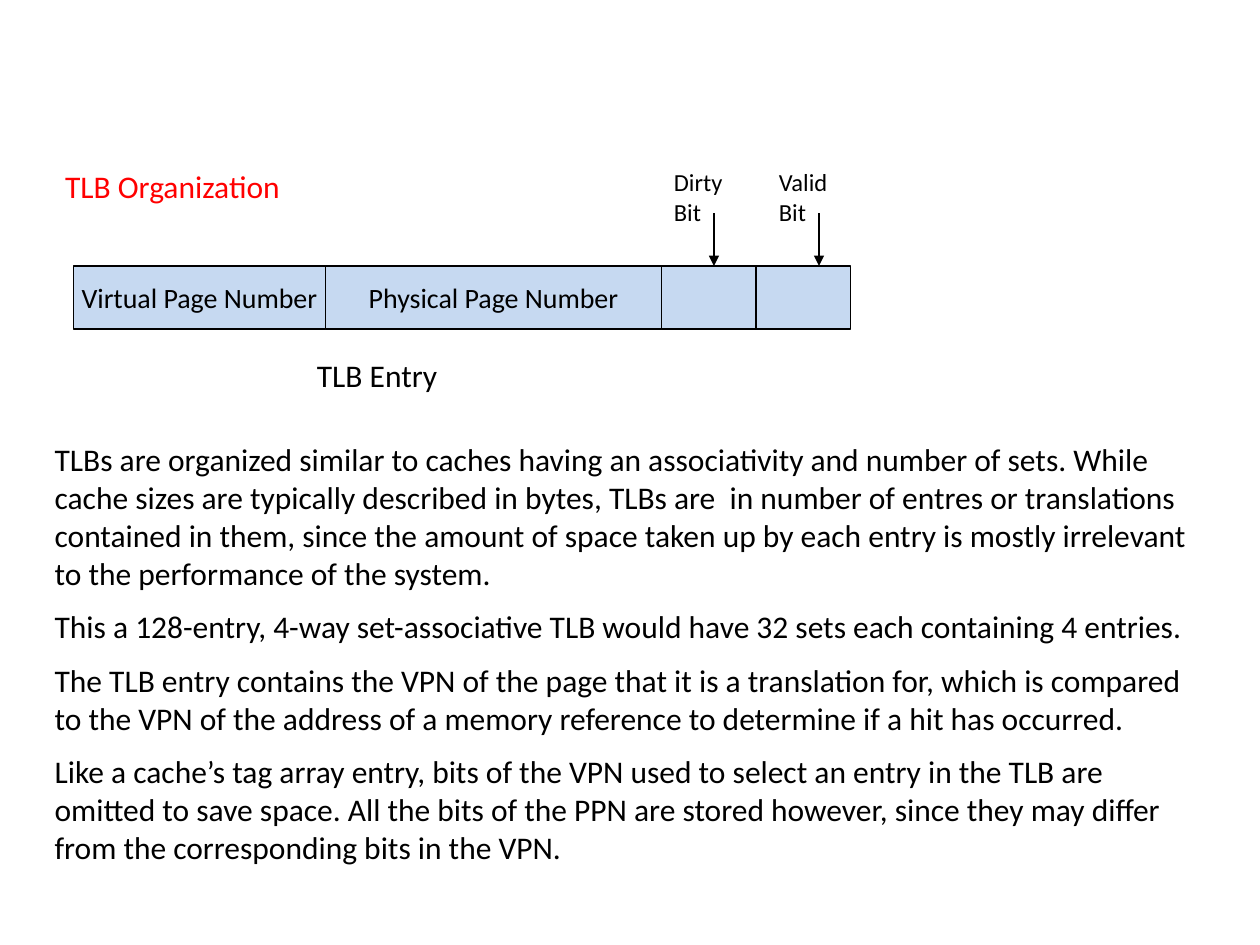
"""Build a slide on the layout of a TLB entry."""
import pptx
import pptx.util
import pptx.dml.color
import pptx.enum.shapes
import pptx.enum.text
import pptx.oxml
import pptx.oxml.ns

Pt = pptx.util.Pt
Align = pptx.enum.text.PP_ALIGN
Anchor = pptx.enum.text.MSO_ANCHOR
Fit = pptx.enum.text.MSO_AUTO_SIZE
HUES = {"ink": "000000", "head": "FF0000", "cell": "C6D9F1"}


def hue(name):
    return pptx.dml.color.RGBColor.from_string(HUES[name])


def apply(item, values):
    for key, value in values.items():
        setattr(item, key, value)


class Sheet:
    def __init__(self, slide, font):
        self.slide = slide
        self.font = font

    def words(self, shape, paras, size, color="ink", align=Align.LEFT,
              anchor=Anchor.TOP, wrap=True):
        frame = shape.text_frame
        frame.text = "\n".join(paras)
        apply(frame, {"word_wrap": wrap, "auto_size": Fit.NONE,
                      "vertical_anchor": anchor})
        for row, para in enumerate(frame.paragraphs):
            apply(para, {"alignment": align, "line_spacing": 1.0,
                         "space_before": Pt(size / 2 if row else 0)})
            apply(para.runs[0].font, {"name": self.font, "size": Pt(size)})
            para.runs[0].font.color.rgb = hue(color)

    def holder(self, index, box, paras, size, color="ink"):
        shape = self.slide.placeholders[index]
        keys = ("left", "top", "width", "height")
        apply(shape, dict(zip(keys, map(Pt, box))))
        self.words(shape, paras, size, color)
        for para in shape.text_frame.paragraphs:
            props = para._p.get_or_add_pPr()
            props.set("marL", "0")
            props.set("indent", "0")
            props.append(pptx.oxml.parse_xml(
                "<a:buNone %s/>" % pptx.oxml.ns.nsdecls("a")))

    def label(self, box, text, size):
        shape = self.slide.shapes.add_textbox(*map(Pt, box))
        self.words(shape, [text], size)

    def cell(self, box, text):
        kind = pptx.enum.shapes.MSO_SHAPE.RECTANGLE
        shape = self.slide.shapes.add_shape(kind, *map(Pt, box))
        shape.shadow.inherit = False
        shape.fill.solid()
        shape.fill.fore_color.rgb = hue("cell")
        self.stroke(shape)
        if text:
            self.words(shape, [text], 16, align=Align.CENTER,
                       anchor=Anchor.MIDDLE, wrap=False)

    def stroke(self, shape):
        shape.line.color.rgb = hue("ink")
        shape.line.width = Pt(0.75)

    def arrow(self, left, top, end):
        kind = pptx.enum.shapes.MSO_CONNECTOR.STRAIGHT
        line = self.slide.shapes.add_connector(
            kind, Pt(left), Pt(top), Pt(left), Pt(end))
        self.stroke(line)
        space = pptx.oxml.ns.nsdecls("a")
        line.get_or_add_ln().append(pptx.oxml.parse_xml(
            '<a:tailEnd %s type="triangle"/>' % space))
        line._element.spPr.append(
            pptx.oxml.parse_xml("<a:effectLst %s/>" % space))


deck = pptx.Presentation()
apply(deck, {"slide_width": Pt(720), "slide_height": Pt(540)})
sheet = Sheet(deck.slides.add_slide(deck.slide_layouts[1]), "Calibri")

sheet.holder(0, (30, 92, 642, 36), ["TLB Organization"], 18, "head")
sheet.holder(1, (24, 248, 672, 256), [
    "TLBs are organized similar to caches having an associativity and number "
    "of sets. While cache sizes are typically described in bytes, TLBs are  "
    "in number of entres or translations contained in them, since the amount "
    "of space taken up by each entry is mostly irrelevant to the performance "
    "of the system.",
    "This a 128-entry, 4-way set-associative TLB would have 32 sets each "
    "containing 4 entries.",
    "The TLB entry contains the VPN of the page that it is a translation for, "
    "which is compared to the VPN of the address of a memory reference to "
    "determine if a hit has occurred.",
    "Like a cache\u2019s tag array entry, bits of the VPN used to select an "
    "entry in the TLB are omitted to save space. All the bits of the PPN are "
    "stored however, since they may differ from the corresponding bits in "
    "the VPN.",
], 18)

left, top = 42, 152
for width, text in ((144, "Virtual Page Number"),
                    (192, "Physical Page Number"), (54, ""), (54, "")):
    sheet.cell((left, top, width, 36), text)
    left += width

for left, text in ((378, "Dirty Bit"), (438, "Valid Bit")):
    sheet.label((left, 92, 54, 41), text, 14)
    sheet.arrow(left + 30, 122, top)

sheet.label((174, 200, 138, 36), "TLB Entry", 18)
deck.save("out.pptx")
